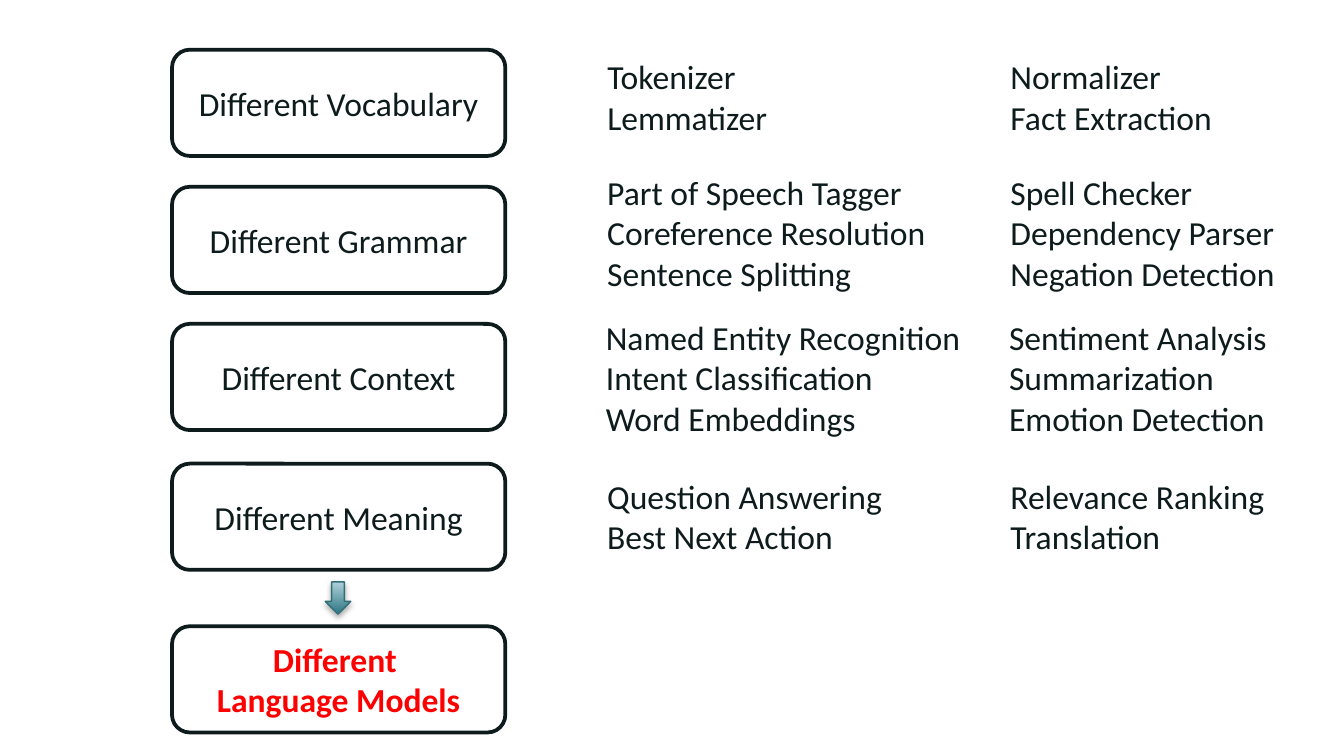
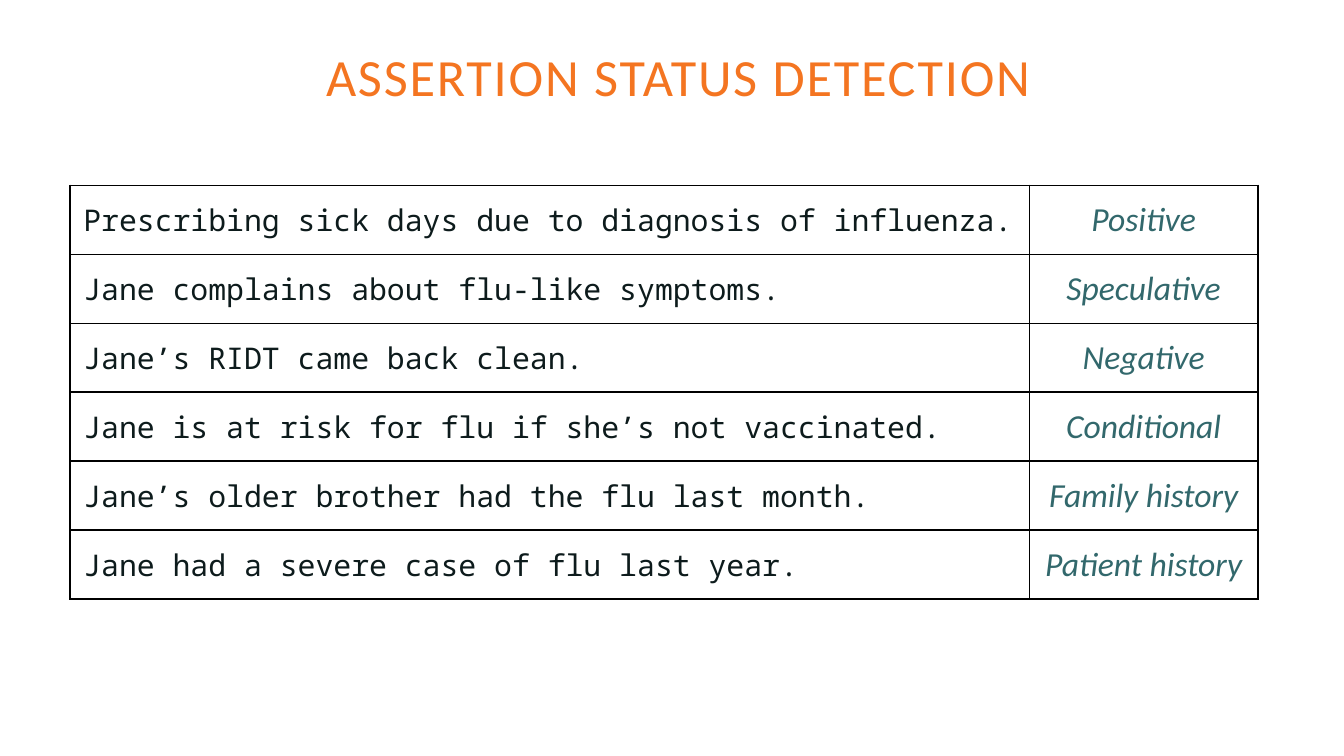
from dataclasses import dataclass
from typing import Any

from lxml.etree import SubElement
from pptx import Presentation
from pptx.dml.color import RGBColor
from pptx.enum.shapes import MSO_SHAPE
from pptx.enum.text import MSO_ANCHOR, MSO_AUTO_SIZE, PP_ALIGN
from pptx.oxml.ns import qn
from pptx.util import Inches, Pt

INK = RGBColor(0x0D, 0x1B, 0x1C)
WHITE = RGBColor(0xFF, 0xFF, 0xFF)
RED = RGBColor(0xFF, 0x00, 0x00)
ORANGE = RGBColor(0xF4, 0x75, 0x21)
TEAL = RGBColor(0x32, 0x68, 0x6C)
EDGE = RGBColor(0x33, 0x6E, 0x78)
DEEP = RGBColor(0x2C, 0x76, 0x83)
PALE = RGBColor(0xB0, 0xD1, 0xD9)

WIDE = Inches(10)
HIGH = WIDE * 9 // 16

BODY = {"name": "Calibri", "size": Pt(18), "bold": False, "italic": False}
LOUD = BODY | {"bold": True}
HEAD = BODY | {"size": Pt(28)}
MONO = BODY | {"name": "Noto Sans Mono", "size": Pt(16)}
SLANT = BODY | {"italic": True}


@dataclass(frozen=True)
class Box:
    text: str
    top: float
    font: dict[str, Any]
    ink: RGBColor


@dataclass(frozen=True)
class Tools:
    left: float
    top: float
    width: float
    height: float
    rows: tuple[tuple[str, str], ...]


@dataclass(frozen=True)
class Case:
    text: str
    state: str


BOXES = (
    Box("Different Vocabulary", 0.37, BODY, INK),
    Box("Different Grammar", 1.39, BODY, INK),
    Box("Different Context", 2.41, BODY, INK),
    Box("Different Meaning", 3.45, BODY, INK),
    Box("Different \vLanguage Models", 4.66, LOUD, RED),
)

TOOLS = (
    Tools(4.42, 0.37, 5.01, 0.71, (
        ("Tokenizer", "Normalizer"),
        ("Lemmatizer", "Fact Extraction"),
    )),
    Tools(4.42, 1.23, 5.33, 1.01, (
        ("Part of Speech Tagger", "Spell Checker"),
        ("Coreference Resolution", "Dependency Parser"),
        ("Sentence Splitting", "Negation Detection"),
    )),
    Tools(4.41, 2.31, 5.33, 1.01, (
        ("Named Entity Recognition", "Sentiment Analysis"),
        ("Intent Classification", "Summarization"),
        ("Word Embeddings", "Emotion Detection"),
    )),
    Tools(4.42, 3.49, 5.33, 0.71, (
        ("Question Answering", "Relevance Ranking"),
        ("Best Next Action", "Translation"),
    )),
)

CASES = (
    Case("Prescribing sick days due to diagnosis of influenza.", "Positive"),
    Case("Jane complains about flu-like symptoms.", "Speculative"),
    Case("Jane’s RIDT came back clean.", "Negative"),
    Case("Jane is at risk for flu if she’s not vaccinated.", "Conditional"),
    Case("Jane’s older brother had the flu last month.", "Family history"),
    Case("Jane had a severe case of flu last year.", "Patient history"),
)


def apply(item: Any, looks: dict[str, Any]) -> None:
    for key, val in looks.items():
        setattr(item, key, val)


def write(para: Any, text: str, looks: dict[str, Any], ink: RGBColor,
          align: PP_ALIGN = PP_ALIGN.LEFT) -> None:
    para.text = text
    para.alignment = align
    for run in para.runs:
        apply(run.font, looks)
        run.font.color.rgb = ink


def draw_box(slide: Any, box: Box) -> None:
    shape = slide.shapes.add_shape(
        MSO_SHAPE.ROUNDED_RECTANGLE,
        Inches(1.28), Inches(box.top), Inches(2.48), Inches(0.79))
    shape.shadow.inherit = False
    shape.fill.solid()
    shape.fill.fore_color.rgb = WHITE
    shape.line.color.rgb = INK
    shape.line.width = Pt(2)
    frame = shape.text_frame
    apply(frame, {"word_wrap": True, "vertical_anchor": MSO_ANCHOR.MIDDLE})
    write(frame.paragraphs[0], box.text, box.font, box.ink, PP_ALIGN.CENTER)


def draw_arrow(slide: Any) -> None:
    arrow = slide.shapes.add_shape(
        MSO_SHAPE.DOWN_ARROW,
        Inches(2.42), Inches(4.33), Inches(0.19), Inches(0.24))
    arrow.fill.gradient()
    arrow.fill.gradient_angle = 90
    for stop, tint in zip(arrow.fill.gradient_stops, (DEEP, PALE)):
        stop.color.rgb = tint
    arrow.line.color.rgb = EDGE
    arrow.line.width = Pt(0.75)
    arrow.shadow.inherit = False
    list_el = arrow.element.spPr.find(qn("a:effectLst"))
    shade = SubElement(list_el, qn("a:outerShdw"), {
        "blurRad": str(Pt(3.1)), "dist": str(Pt(1.8)),
        "dir": "5400000", "rotWithShape": "0"})
    tint = SubElement(shade, qn("a:srgbClr"), val="000000")
    SubElement(tint, qn("a:alpha"), val="35000")


def draw_tools(slide: Any, tools: Tools) -> None:
    area = slide.shapes.add_textbox(
        Inches(tools.left), Inches(tools.top),
        Inches(tools.width), Inches(tools.height))
    frame = area.text_frame
    apply(frame, {"word_wrap": True,
                  "auto_size": MSO_AUTO_SIZE.SHAPE_TO_FIT_TEXT})
    for num, row in enumerate(tools.rows):
        para = frame.add_paragraph() if num else frame.paragraphs[0]
        tabs = SubElement(para._p.get_or_add_pPr(), qn("a:tabLst"))
        SubElement(tabs, qn("a:tab"), pos=str(Inches(3)), algn="l")
        write(para, "\t".join(row), BODY, INK)


def draw_title(slide: Any, text: str) -> None:
    area = slide.shapes.add_textbox(
        Inches(0.5), Inches(0.17), Inches(9), Inches(0.85))
    frame = area.text_frame
    apply(frame, {
        "word_wrap": True, "vertical_anchor": MSO_ANCHOR.MIDDLE,
        "margin_left": Inches(0.1), "margin_right": 0,
        "margin_top": 0, "margin_bottom": 0})
    para = frame.paragraphs[0]
    write(para, text, HEAD, ORANGE, PP_ALIGN.CENTER)
    para.line_spacing = 0.9
    para.runs[0].font._element.set("spc", "100")


def draw_cell(cell: Any, text: str, looks: dict[str, Any], ink: RGBColor,
              align: PP_ALIGN) -> None:
    apply(cell, {
        "vertical_anchor": MSO_ANCHOR.MIDDLE,
        "margin_left": Inches(0.1), "margin_right": Inches(0.1),
        "margin_top": Inches(0.05), "margin_bottom": Inches(0.05)})
    props = cell._tc.get_or_add_tcPr()
    for side in ("lnL", "lnR", "lnT", "lnB"):
        line = SubElement(props, qn(f"a:{side}"), w=str(Pt(1)))
        fill = SubElement(line, qn("a:solidFill"))
        SubElement(fill, qn("a:srgbClr"), val="000000")
    cell.fill.solid()
    cell.fill.fore_color.rgb = WHITE
    write(cell.text_frame.paragraphs[0], text, looks, ink, align)


def draw_table(slide: Any, cases: tuple[Case, ...]) -> None:
    table = slide.shapes.add_table(
        len(cases), 2, Inches(0.52), Inches(1.38),
        Inches(8.84), Inches(3.08)).table
    apply(table, {"first_row": False, "horz_banding": False})
    for col, width in zip(table.columns, (7.14, 1.7)):
        col.width = Inches(width)
    for num, case in enumerate(cases):
        draw_cell(table.cell(num, 0), case.text, MONO, INK, PP_ALIGN.LEFT)
        draw_cell(table.cell(num, 1), case.state, SLANT, TEAL,
                  PP_ALIGN.CENTER)


def main() -> None:
    deck = Presentation()
    apply(deck, {"slide_width": WIDE, "slide_height": HIGH})
    blank = deck.slide_layouts[6]

    models = deck.slides.add_slide(blank)
    for box in BOXES:
        draw_box(models, box)
    draw_arrow(models)
    for tools in TOOLS:
        draw_tools(models, tools)

    status = deck.slides.add_slide(blank)
    draw_title(status, "ASSERTION STATUS DETECTION")
    draw_table(status, CASES)

    deck.save("out.pptx")


if __name__ == "__main__":
    main()
